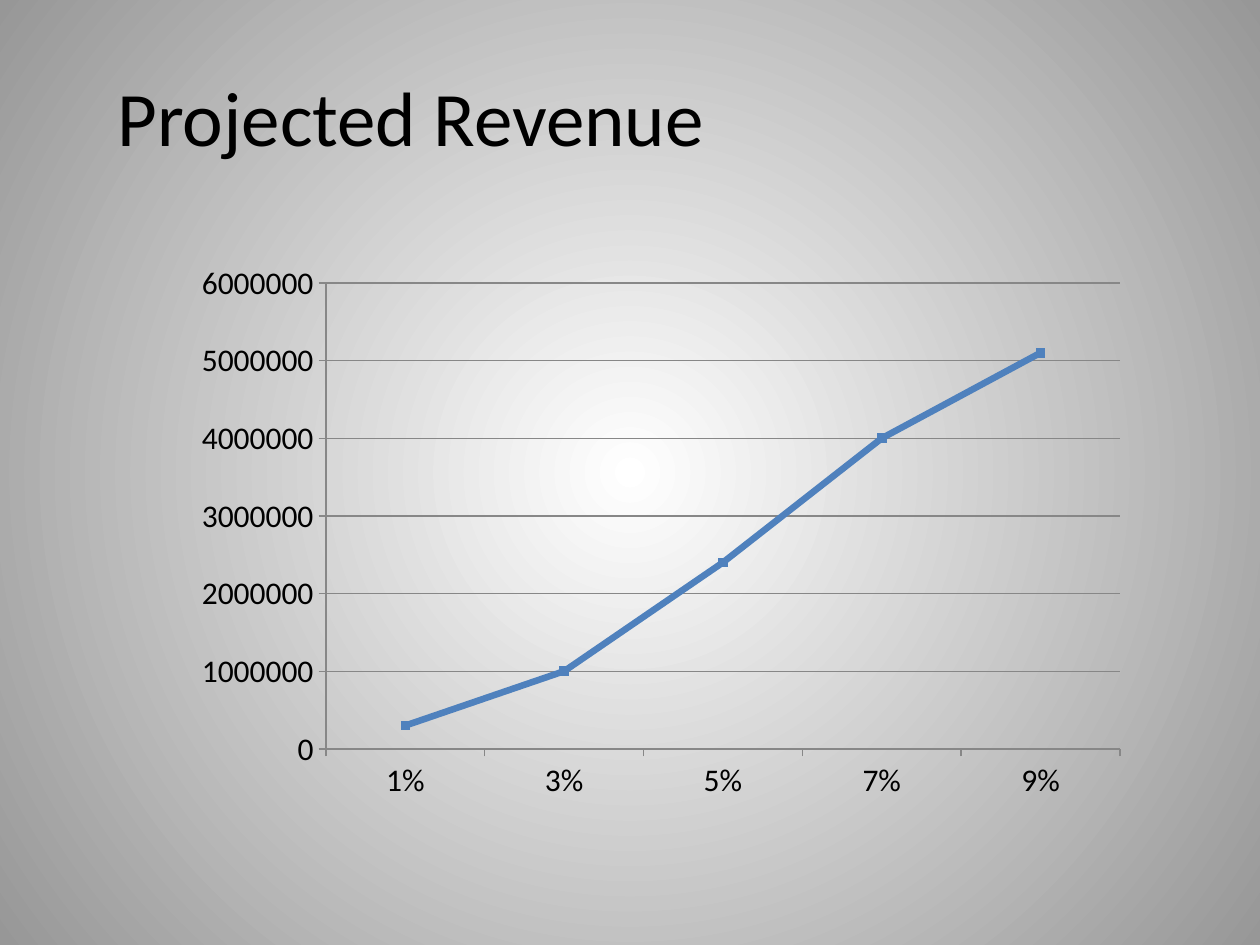
from lxml import etree
from pptx import Presentation
from pptx.chart.data import CategoryChartData
from pptx.dml.color import RGBColor
from pptx.enum.chart import XL_CHART_TYPE, XL_MARKER_STYLE, XL_TICK_MARK
from pptx.enum.text import MSO_ANCHOR, PP_ALIGN
from pptx.oxml.ns import qn
from pptx.util import Pt

PX = 914400 / 126
FONT = "Calibri"
LINE = XL_CHART_TYPE.LINE_MARKERS_STACKED
SQUARE = XL_MARKER_STYLE.SQUARE
OUT = XL_TICK_MARK.OUTSIDE
NONE = XL_TICK_MARK.NONE
MIDDLE = MSO_ANCHOR.MIDDLE
LEFT = PP_ALIGN.LEFT
BLACK, GREY, BLUE = "000000", "878787", "4F81BD"

RATES = [0.01, 0.03, 0.05, 0.07, 0.09]
SALES = [300000, 1000000, 2400000, 4000000, 5100000]


def px(n):
    return round(n * PX)


def color(code):
    return RGBColor.from_string(code)


def style(font, size):
    font.name = FONT
    font.size = Pt(size)
    font.color.rgb = color(BLACK)


def stroke(line, code, width):
    line.color.rgb = color(code)
    line.width = Pt(width)


def paint(slide):
    fill = slide.background.fill
    fill.gradient()
    for stop, code, place in zip(fill.gradient_stops, ("FFFFFF", "979797"), (0, 1)):
        stop.color.rgb = color(code)
        stop.position = place
    grad = slide.background._cSld.find(".//" + qn("a:gradFill"))
    grad.remove(grad.find(qn("a:lin")))
    path = etree.SubElement(grad, qn("a:path"), path="circle")
    etree.SubElement(path, qn("a:fillToRect"), l="50000", t="50000", r="50000", b="50000")


def head(slide, x, y, w, h):
    title = slide.shapes.title
    title.left, title.top, title.width, title.height = map(px, (x, y, w, h))
    frame = title.text_frame
    frame.text = "Projected Revenue"
    frame.vertical_anchor = MIDDLE
    para = frame.paragraphs[0]
    para.alignment = LEFT
    style(para.runs[0].font, 44)


def set_plot(chart, x, y, w, h):
    area = chart._chartSpace.find(".//" + qn("c:plotArea"))
    for old in area.findall(qn("c:layout")):
        area.remove(old)
    layout = etree.Element(qn("c:layout"))
    area.insert(0, layout)
    manual = etree.SubElement(layout, qn("c:manualLayout"))
    parts = [("layoutTarget", "inner"), ("xMode", "edge"), ("yMode", "edge"),
             ("x", x), ("y", y), ("w", w), ("h", h)]
    for name, val in parts:
        etree.SubElement(manual, qn("c:" + name), val=str(val))


def graph(slide, x, y, w, h):
    data = CategoryChartData(number_format="General")
    data.categories = RATES
    data.categories.number_format = "0%"
    data.add_series("Series 1", SALES)
    chart = slide.shapes.add_chart(LINE, *map(px, (x, y, w, h)), data).chart
    chart.has_title = False
    chart.has_legend = False
    style(chart.font, 18)
    set_plot(chart, 200 / w, 115 / h, 794 / w, 466 / h)

    for axis in (chart.category_axis, chart.value_axis):
        axis.major_tick_mark = OUT
        axis.minor_tick_mark = NONE
        stroke(axis.format.line, GREY, 0.75)
    labels = chart.category_axis.tick_labels
    labels.number_format = "0%"
    labels.number_format_is_linked = False
    value = chart.value_axis
    value.minimum_scale, value.maximum_scale = 0, 6000000
    value.major_unit = 1000000
    value.has_major_gridlines = True
    stroke(value.major_gridlines.format.line, GREY, 0.75)

    plot = chart.plots[0]
    plot.vary_by_categories = False
    series = plot.series[0]
    series.smooth = False
    stroke(series.format.line, BLUE, 3.75)
    mark = series.marker
    mark.style = SQUARE
    mark.size = 5
    mark.format.fill.solid()
    mark.format.fill.fore_color.rgb = color(BLUE)
    stroke(mark.format.line, BLUE, 0.75)


def main():
    deck = Presentation()
    deck.slide_width, deck.slide_height = px(1260), px(945)
    slide = deck.slides.add_slide(deck.slide_layouts[5])
    paint(slide)
    head(slide, 105, 37, 1113, 158)
    graph(slide, 126, 168, 1050, 714)
    deck.save("out.pptx")


if __name__ == "__main__":
    main()
